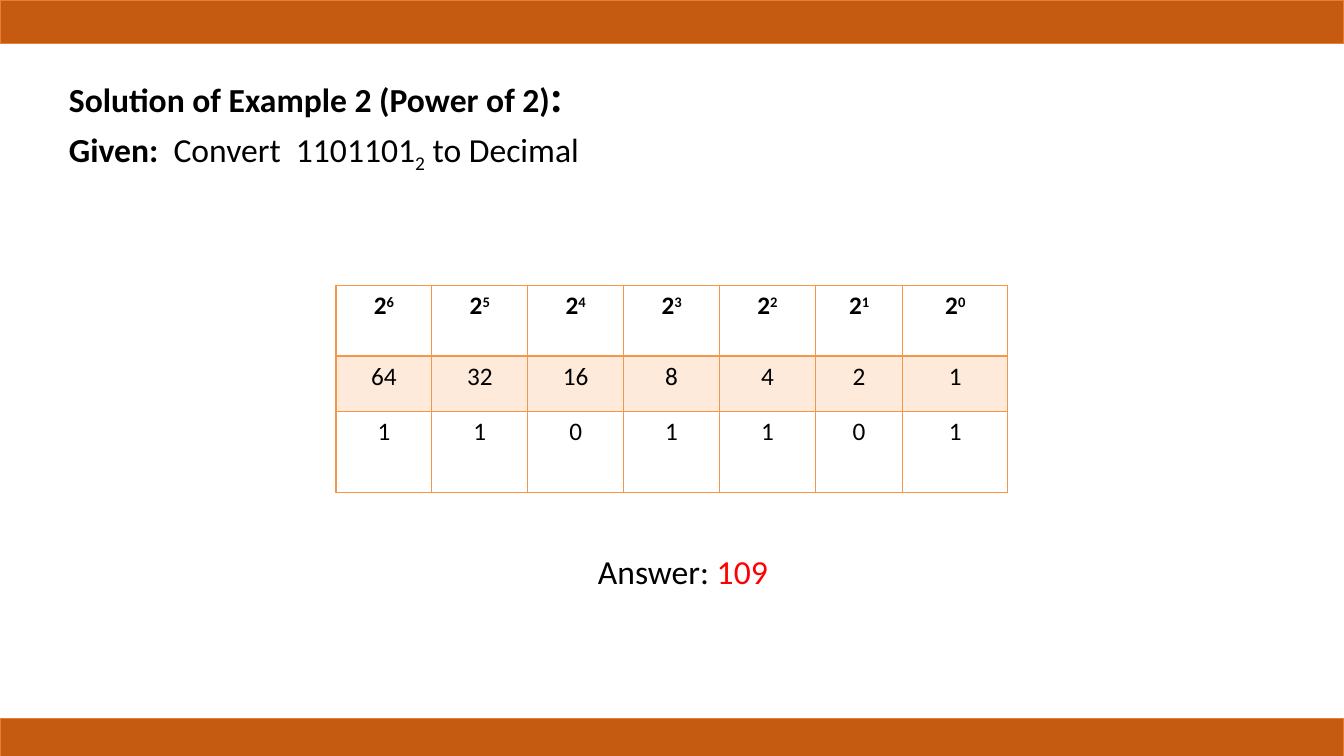
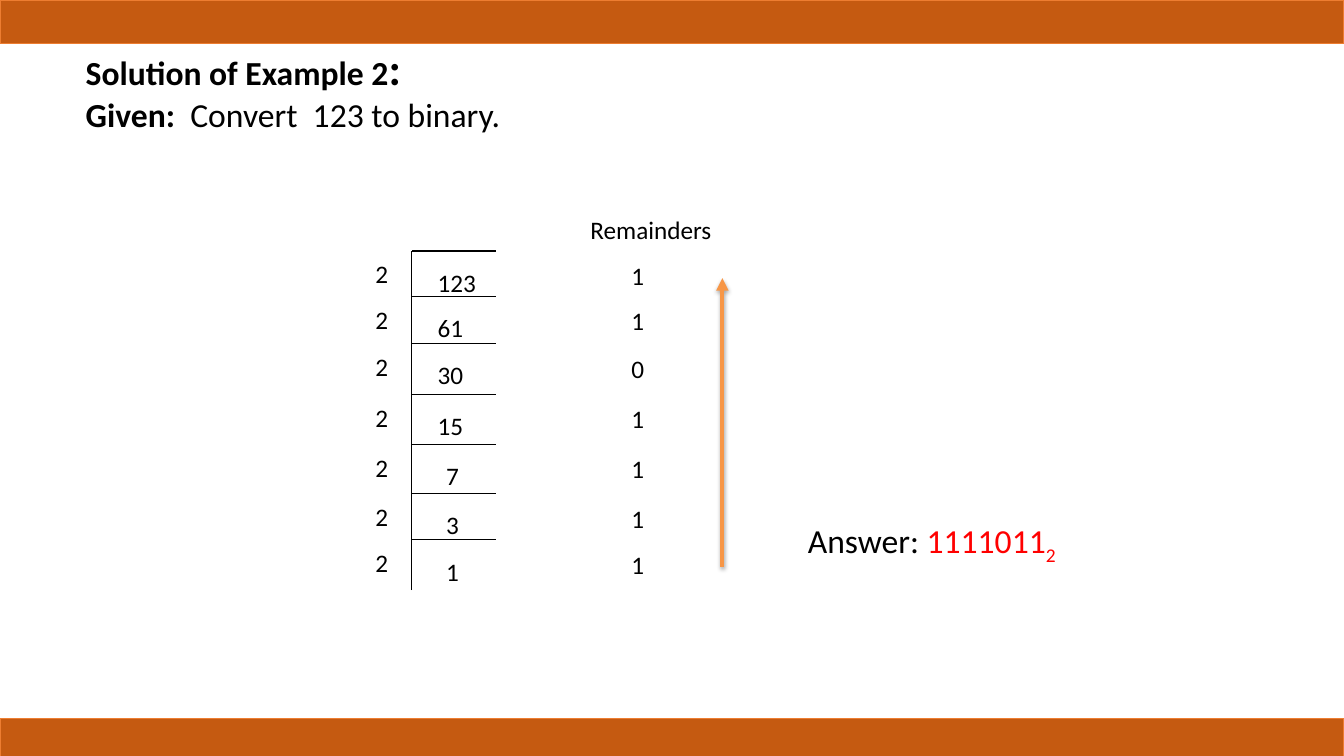
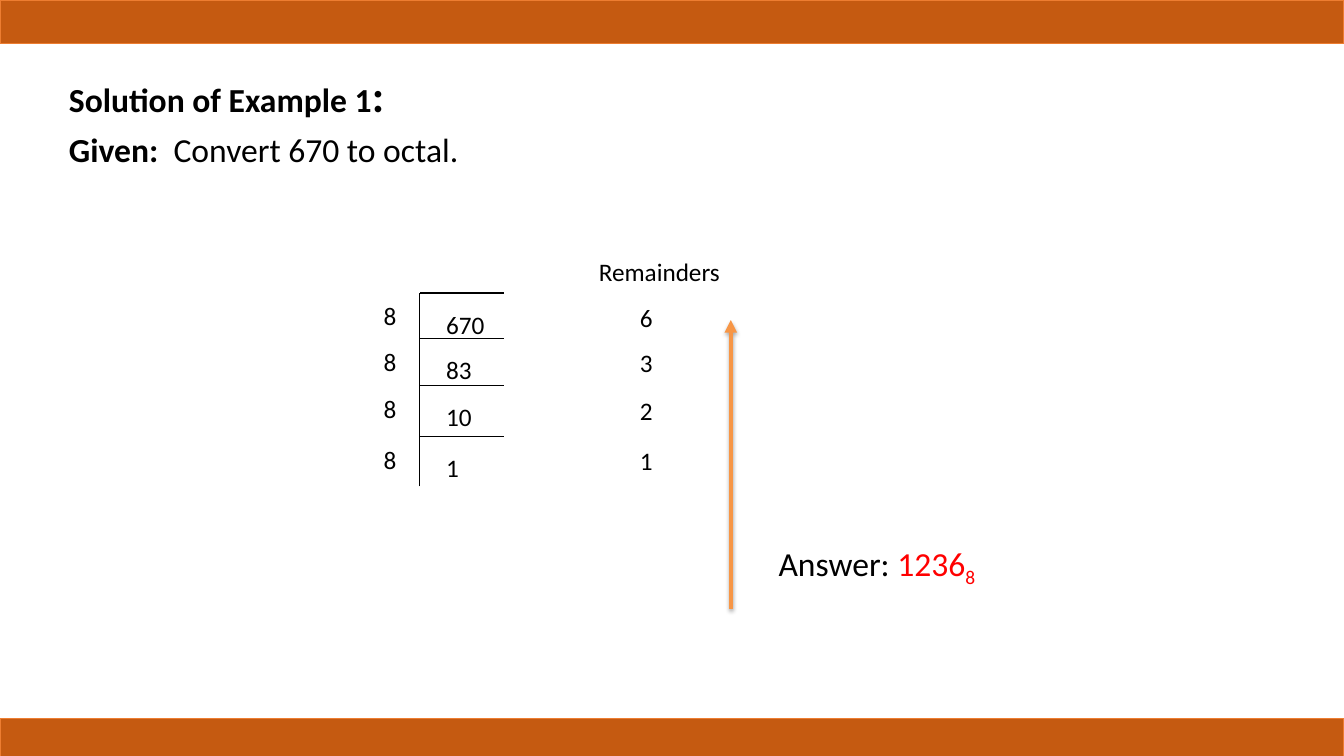
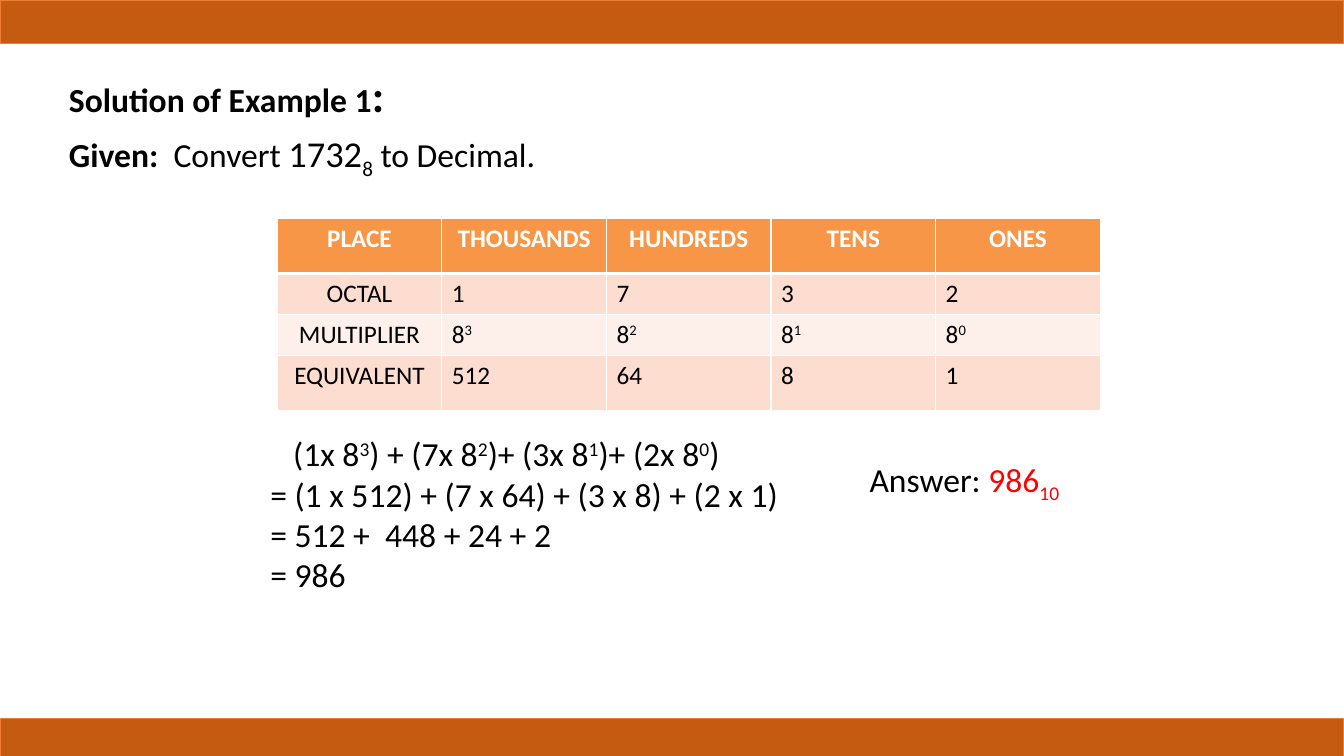
from dataclasses import dataclass

from lxml import etree
from pptx import Presentation
from pptx.dml.color import RGBColor
from pptx.enum.shapes import MSO_CONNECTOR, MSO_SHAPE
from pptx.enum.text import MSO_ANCHOR, MSO_AUTO_SIZE, PP_ALIGN
from pptx.oxml.ns import qn
from pptx.util import Pt

LINE = MSO_CONNECTOR.STRAIGHT
RECT = MSO_SHAPE.RECTANGLE
LEFT, MID = PP_ALIGN.LEFT, PP_ALIGN.CENTER
TOP = MSO_ANCHOR.TOP
FIXED = MSO_AUTO_SIZE.NONE


@dataclass(frozen=True)
class Theme:
    font: str = "Calibri"
    ink: str = "000000"
    white: str = "FFFFFF"
    red: str = "FF0000"
    band: str = "C55A11"
    edge: str = "ED7D31"
    main: str = "F79646"
    pale: str = "FDEADB"
    rose: str = "FCDDCF"
    blush: str = "FDEFE9"
    small: int = 18
    text: int = 24
    large: int = 26
    colon: int = 32


THEME = Theme()
WIDE, HIGH = 960, 540
RUNGS = (0, 32.4, 66.2, 102.2, 138.2, 173.3, 206.3)


def rgb(code):
    return RGBColor.from_string(code)


def add(node, tag, **attrs):
    return etree.SubElement(node, qn(tag), {k: str(v) for k, v in attrs.items()})


def power(base, exp):
    return [base, (str(exp), "^")]


class Deck:
    def __init__(self):
        self.prs = Presentation()
        self.prs.slide_width, self.prs.slide_height = Pt(WIDE), Pt(HIGH)
        self.slide = None

    def page(self):
        """Start a slide with its two bands."""
        self.slide = self.prs.slides.add_slide(self.prs.slide_layouts[5])
        for top in (0, 513.4):
            bar = self.slide.shapes.add_shape(RECT, 0, Pt(top), Pt(WIDE), Pt(31))
            bar.shadow.inherit = False
            bar.fill.solid()
            bar.fill.fore_color.rgb = rgb(THEME.band)
            bar.line.color.rgb = rgb(THEME.edge)
            bar.line.width = Pt(1)

    def fill(self, para, runs, size, color=THEME.ink, bold=False, align=LEFT):
        """Marks: b bold, r red, ^ superscript, _ subscript, l large, c colon."""
        para.alignment = align
        for part in runs:
            words, marks = part if isinstance(part, tuple) else (part, "")
            run = para.add_run()
            run.text = words
            font = run.font
            font.name = THEME.font
            font.size = Pt(THEME.colon if "c" in marks else
                           THEME.large if "l" in marks else size)
            font.bold = bold or "b" in marks
            font.color.rgb = rgb(THEME.red if "r" in marks else color)
            if "^" in marks or "_" in marks:
                base = "30000" if "^" in marks else "-25000"
                run._r.get_or_add_rPr().set("baseline", base)

    def head(self, name, given, x=42, y=44.6, gap=5.5):
        title = self.slide.shapes.title
        title.left, title.top = Pt(x), Pt(y)
        title.width, title.height = Pt(552), Pt(71)
        frame = title.text_frame
        frame.auto_size, frame.vertical_anchor = FIXED, TOP
        self.fill(frame.paragraphs[0], [(name, "b"), (":", "bc")], THEME.text)
        para = frame.add_paragraph()
        para.space_before = Pt(gap)
        self.fill(para, [("Given:  ", "b"), *given], THEME.text)

    def text(self, x, y, w, h, *lines, size=THEME.small, align=LEFT):
        box = self.slide.shapes.add_textbox(Pt(x), Pt(y), Pt(w), Pt(h))
        frame = box.text_frame
        frame.word_wrap = True
        for i, runs in enumerate(lines):
            para = frame.add_paragraph() if i else frame.paragraphs[0]
            self.fill(para, runs, size, align=align)
        return frame

    def answer(self, x, y, value, base=""):
        runs = ["Answer: ", (value, "r")]
        if base:
            runs.append((base, "r_"))
        self.text(x, y, 228, 36, runs, size=THEME.text)

    def line(self, x1, y1, x2, y2, color=THEME.ink, width=0.75, arrow=False):
        line = self.slide.shapes.add_connector(LINE, Pt(x1), Pt(y1), Pt(x2), Pt(y2))
        line.line.color.rgb = rgb(color)
        line.line.width = Pt(width)
        props = line._element.spPr
        if arrow:
            add(props.find(qn("a:ln")), "a:tailEnd", type="triangle")
        effects = add(props, "a:effectLst")
        if arrow:
            shade = add(effects, "a:outerShdw", blurRad=Pt(3.1), dist=Pt(1.8),
                        dir=5400000, rotWithShape=0)
            add(add(shade, "a:srgbClr", val=THEME.ink), "a:alpha", val=35000)

    def ladder(self, x, y, base, rows, shift=0):
        """Repeated division; shift moves one-digit quotients to the right."""
        self.text(x + 102, y - 29.5, 138, 29, ["Remainders"], align=MID)
        for step, (num, rest) in zip(RUNGS, rows):
            top = y + step
            self.line(x, top + 36, x, top)
            self.line(x + 60, top, x, top)
            indent = 11.5 + (shift if len(num) == 1 else 0)
            self.text(x + indent, top + 7.9, 43, 29, [num])
            self.text(x - 33, top + 2, 22, 29, [base])
            self.text(x + 150, top + 3, 22, 29, [rest])
        self.line(x + 222, y + 225.5, x + 222, y + 19.3, THEME.main, 3, arrow=True)

    def border(self, cell, color, top, bottom):
        props = cell._tc.get_or_add_tcPr()
        for tag, width in (("L", 1), ("R", 1), ("T", top), ("B", bottom)):
            ln = add(props, "a:ln" + tag, w=Pt(width))
            add(add(ln, "a:solidFill"), "a:srgbClr", val=color)

    def table(self, x, y, cols, rows, cells, fills, edge, rule, ink, centred):
        """Grid with a bold head row; rule is the line width under the head."""
        table = self.slide.shapes.add_table(
            len(rows), len(cols), Pt(x), Pt(y), Pt(sum(cols)), Pt(sum(rows))).table
        for col, width in zip(table.columns, cols):
            col.width = Pt(width)
        for r, height in enumerate(rows):
            table.rows[r].height = Pt(height)
            for c, runs in enumerate(cells[r]):
                cell = table.cell(r, c)
                self.border(cell, edge, rule if r == 1 else 1, rule if r == 0 else 1)
                cell.fill.solid()
                cell.fill.fore_color.rgb = rgb(fills[r])
                self.fill(cell.text_frame.paragraphs[0], runs, THEME.small,
                          THEME.ink if r else ink, r == 0,
                          MID if r == 0 or c < centred else LEFT)


def binary(deck):
    deck.page()
    deck.head("Solution of Example 2 (Power of 2)",
              ["Convert  1101101", ("2", "_"), " to Decimal"])
    exps = range(6, -1, -1)
    cells = [[power("2", n) for n in exps],
             [[str(2 ** n)] for n in exps],
             [[bit] for bit in "1101101"]]
    deck.table(240, 204, [68.5] * 5 + [62.5, 75], [50.4, 39.6, 57.6], cells,
               [THEME.white, THEME.pale, THEME.white], THEME.main, 2, THEME.ink, 7)
    deck.answer(420, 390, "109")


def divide(deck):
    deck.page()
    deck.head("Solution of Example 2", ["Convert  123 to binary."], 54, 25.2, 0)
    deck.ladder(294, 179.3, "2", [("123", "1"), ("61", "1"), ("30", "0"), ("15", "1"),
                                  ("7", "1"), ("3", "1"), ("1", "1")], shift=6)
    deck.answer(570, 368, "1111011", "2")


def octal(deck):
    deck.page()
    deck.head("Solution of Example 1", ["Convert 670 to octal."])
    deck.ladder(300, 209.3, "8", [("670", "6"), ("83", "3"), ("10", "2"), ("1", "1")])
    deck.answer(549, 384, "1236", "8")


def places(deck):
    deck.page()
    deck.head("Solution of Example 1",
              ["Convert ", ("1732", "l"), ("8", "l_"), " to Decimal."], gap=7)
    exps = range(3, -1, -1)
    names = ("PLACE", "THOUSANDS", "HUNDREDS", "TENS", "ONES")
    cells = [[[name] for name in names],
             [["OCTAL"], *([digit] for digit in "1732")],
             [["MULTIPLIER"], *(power("8", n) for n in exps)],
             [["EQUIVALENT"], *([str(8 ** n)] for n in exps)]]
    deck.table(198, 155.8, [117.6] * 5, [39.6, 29.2, 29.2, 39.6], cells,
               [THEME.main, THEME.rose, THEME.blush, THEME.rose],
               THEME.white, 3, THEME.white, 1)
    sums = ["(1x 8", ("3", "^"), ") + (7x 8", ("2", "^"), ")+ (3x 8", ("1", "^"),
            ")+ (2x 8", ("0", "^"), ")"]
    frame = deck.text(186, 306, 390, 124, sums,
                      ["= (1 x 512) + (7 x 64) + (3 x 8) + (2 x 1)"],
                      ["= 512 +  448 + 24 + 2"], ["= 986"], size=THEME.text)
    frame.paragraphs[0]._p.get_or_add_pPr().set("marL", str(Pt(16.3)))
    deck.answer(614, 324, "986", "10")


def main():
    deck = Deck()
    for build in (binary, divide, octal, places):
        build(deck)
    deck.prs.save("out.pptx")


if __name__ == "__main__":
    main()
